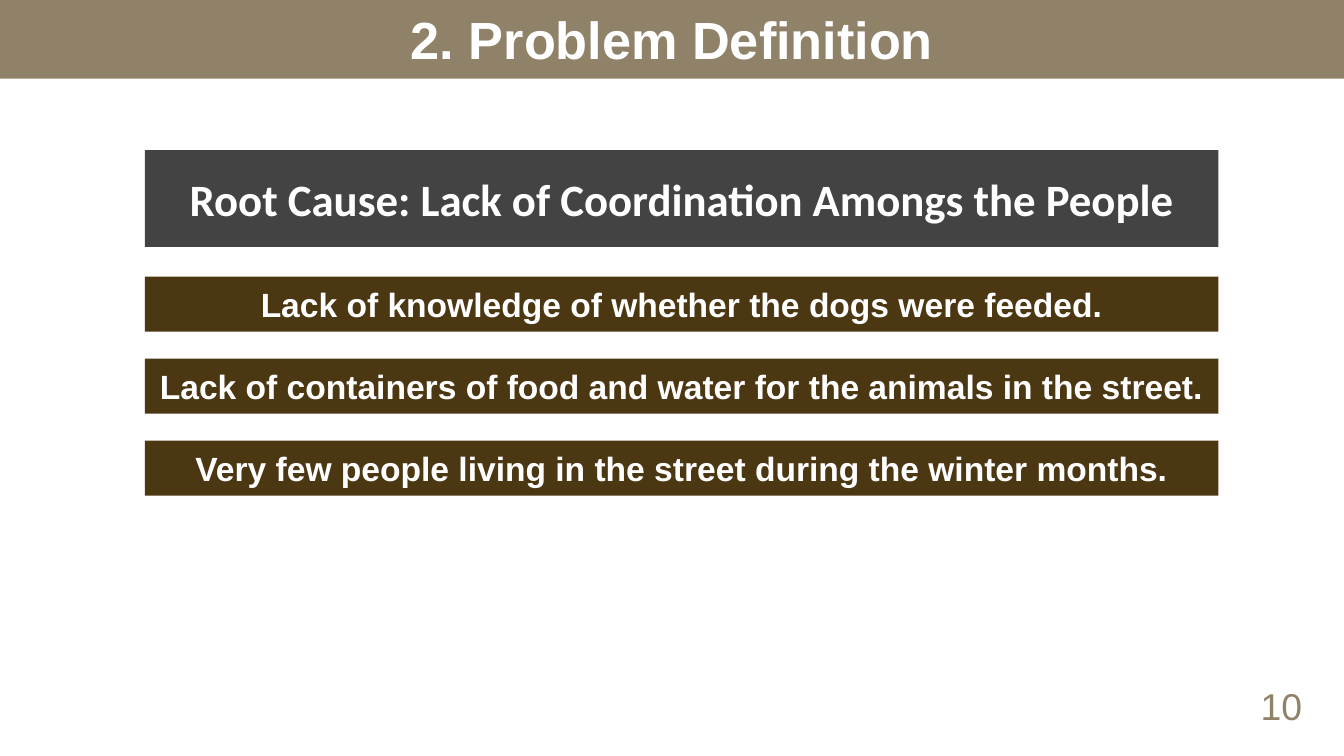
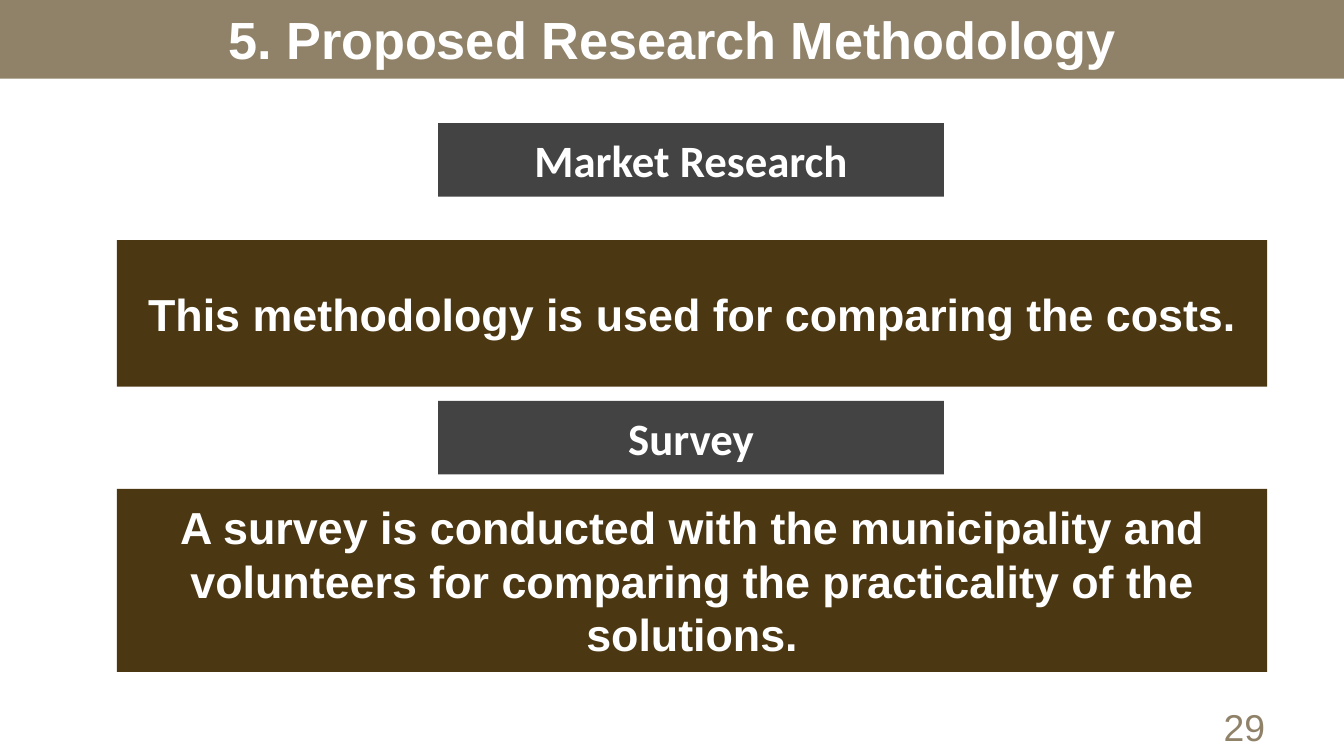
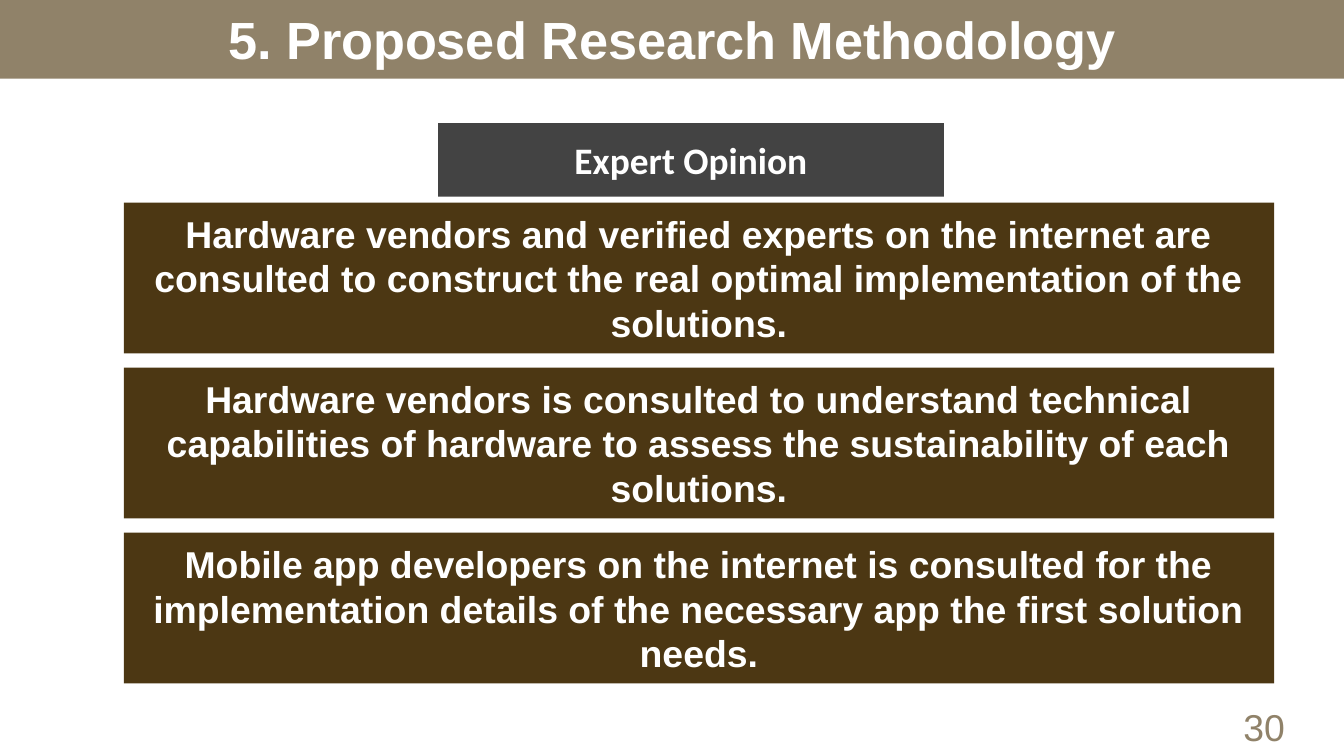
from dataclasses import dataclass

from pptx import Presentation
from pptx.dml.color import RGBColor
from pptx.enum.shapes import MSO_SHAPE as Shape
from pptx.enum.text import MSO_ANCHOR as Anchor, MSO_AUTO_SIZE as AutoSize, PP_ALIGN as Align
from pptx.util import Cm, Pt


@dataclass(frozen=True)
class Theme:
    # Colours
    sand: str = "908269"
    charcoal: str = "434343"
    brown: str = "4C3713"
    white: str = "FFFFFF"
    # Fonts and type sizes
    body_font: str = "Arial"
    heading_font: str = "Calibri"
    title_size: int = 28
    large: int = 24
    medium: int = 20
    small: int = 18
    # Lengths in centimetres
    width: float = 25.4
    height: float = 14.29
    inset: float = 0.25


def write(shape, text, *, font, size, color, bold=True, anchor=Anchor.MIDDLE, inset=None):
    """Put one centred paragraph into a shape."""
    frame = shape.text_frame
    frame.word_wrap = True
    frame.vertical_anchor = anchor
    if inset is not None:
        frame.margin_left = frame.margin_right = Cm(inset)
        frame.margin_top = frame.margin_bottom = Cm(inset)
    para = frame.paragraphs[0]
    para.alignment = Align.CENTER
    span = para.add_run()
    span.text = text
    span.font.name = font
    span.font.size = Pt(size)
    span.font.bold = bold
    span.font.color.rgb = RGBColor.from_string(color)


class SlideBuilder:
    def __init__(self, deck, theme):
        self.deck = deck
        self.theme = theme
        self.page = None

    def new_page(self, title, number, number_top, number_width):
        """Start a slide with its title band and page number."""
        theme = self.theme
        self.page = self.deck.slides.add_slide(self.deck.slide_layouts[6])
        band = (0, -0.03, theme.width, 1.52)
        self.block(*band, theme.sand)
        self.label(*band, title, font=theme.body_font, size=theme.title_size,
                   color=theme.white, inset=theme.inset)
        box = self.label(theme.width - number_width, number_top, number_width, 1.11,
                         str(number), font=theme.body_font, size=theme.medium,
                         color=theme.sand, bold=False, anchor=Anchor.TOP)
        box.text_frame.auto_size = AutoSize.SHAPE_TO_FIT_TEXT

    def block(self, left, top, width, height, color):
        block = self.page.shapes.add_shape(
            Shape.RECTANGLE, Cm(left), Cm(top), Cm(width), Cm(height))
        block.shadow.inherit = False
        block.fill.solid()
        block.fill.fore_color.rgb = RGBColor.from_string(color)
        block.line.fill.background()
        return block

    def label(self, left, top, width, height, text, **style):
        box = self.page.shapes.add_textbox(Cm(left), Cm(top), Cm(width), Cm(height))
        write(box, text, **style)
        return box

    def heading(self, text, top, left=8.28, width=9.56, height=1.39, size=None):
        theme = self.theme
        self.block(left, top, width, height, theme.charcoal)
        self.label(left, top, width, height, text, font=theme.heading_font,
                   size=size or theme.large, color=theme.white, inset=theme.inset)

    def statement(self, text, left, top, width, height, size):
        theme = self.theme
        block = self.block(left, top, width, height, theme.brown)
        write(block, text, font=theme.body_font, size=size,
              color=theme.white, inset=theme.inset)

    def statements(self, texts, left, top, width, height, pitch, size):
        """Stack statements at an even pitch."""
        for row, text in enumerate(texts):
            self.statement(text, left, top + row * pitch, width, height, size)


def problem_definition(builder):
    builder.new_page("2. Problem Definition", 10, 12.78, 2.36)
    left, width = 2.74, 20.29
    builder.heading("Root Cause: Lack of Coordination Amongs the People",
                    2.84, left, width, 1.83)
    builder.statements([
        "Lack of knowledge of whether the dogs were feeded.",
        "Lack of containers of food and water for the animals in the street.",
        "Very few people living in the street during the winter months.",
    ], left, 5.23, width, 1.04, 1.55, builder.theme.small)


def research_and_survey(builder):
    builder.new_page("5. Proposed Research Methodology", 29, 13.18, 3.76)
    left, width, size = 2.21, 21.74, builder.theme.large
    builder.heading("Market Research", 2.33)
    builder.statement("This methodology is used for comparing the costs.",
                      left, 4.54, width, 2.77, size)
    builder.heading("Survey", 7.58)
    builder.statement("A survey is conducted with the municipality and volunteers "
                      "for comparing the practicality of the solutions.",
                      left, 9.24, width, 3.46, size)


def expert_opinion(builder):
    builder.new_page("5. Proposed Research Methodology", 30, 13.18, 3.02)
    size = builder.theme.medium
    builder.heading("Expert Opinion", 2.33, size=size)
    builder.statements([
        "Hardware vendors and verified experts on the internet are consulted "
        "to construct the real optimal implementation of the solutions.",
        "Hardware vendors is consulted to understand technical capabilities "
        "of hardware to assess the sustainability of each solutions.",
        "Mobile app developers on the internet is consulted for the "
        "implementation details of the necessary app the first solution needs.",
    ], 2.34, 3.83, 21.74, 2.85, 3.12, size)


def main():
    theme = Theme()
    deck = Presentation()
    deck.slide_width, deck.slide_height = Cm(theme.width), Cm(theme.height)
    builder = SlideBuilder(deck, theme)
    problem_definition(builder)
    research_and_survey(builder)
    expert_opinion(builder)
    deck.save("out.pptx")


if __name__ == "__main__":
    main()
